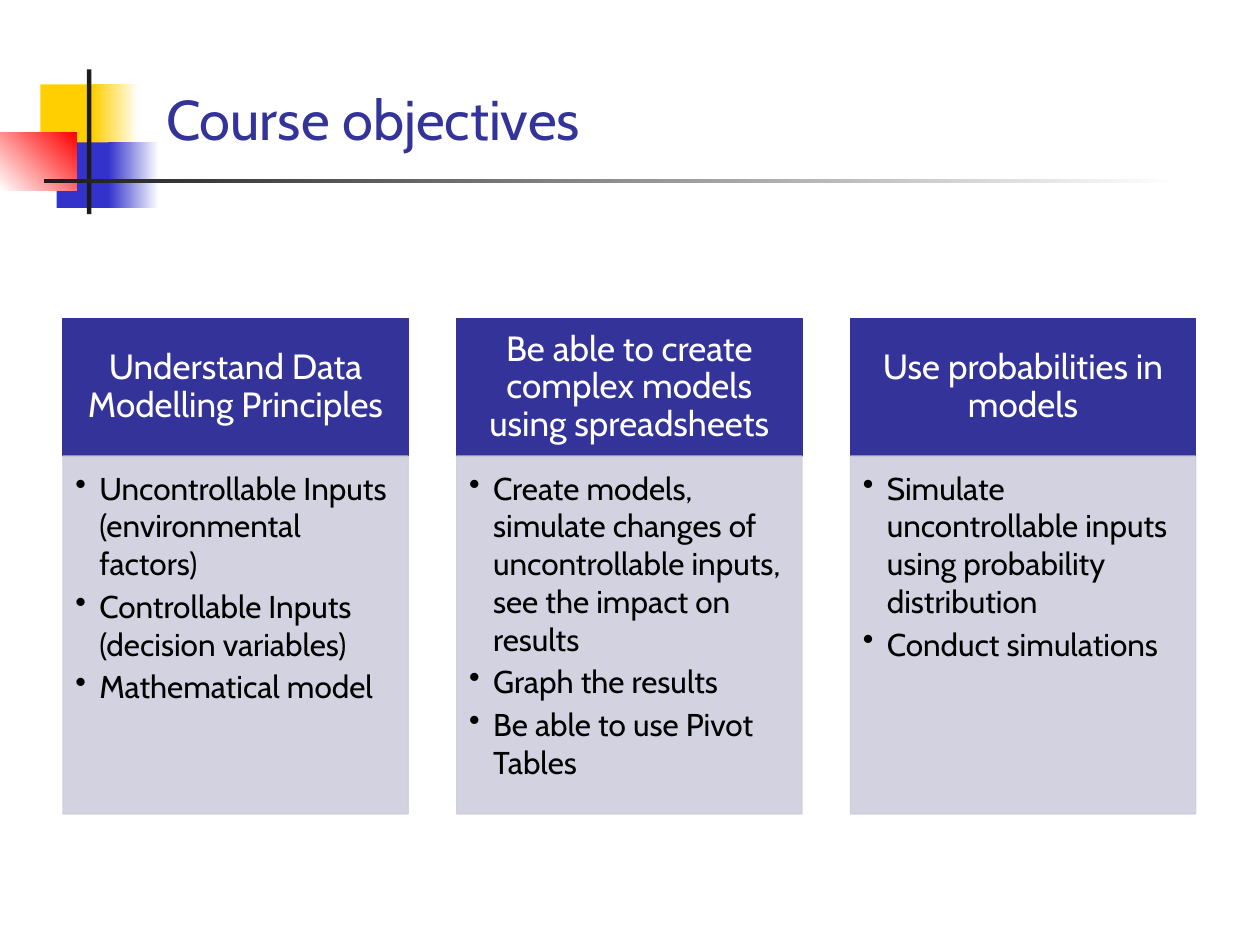
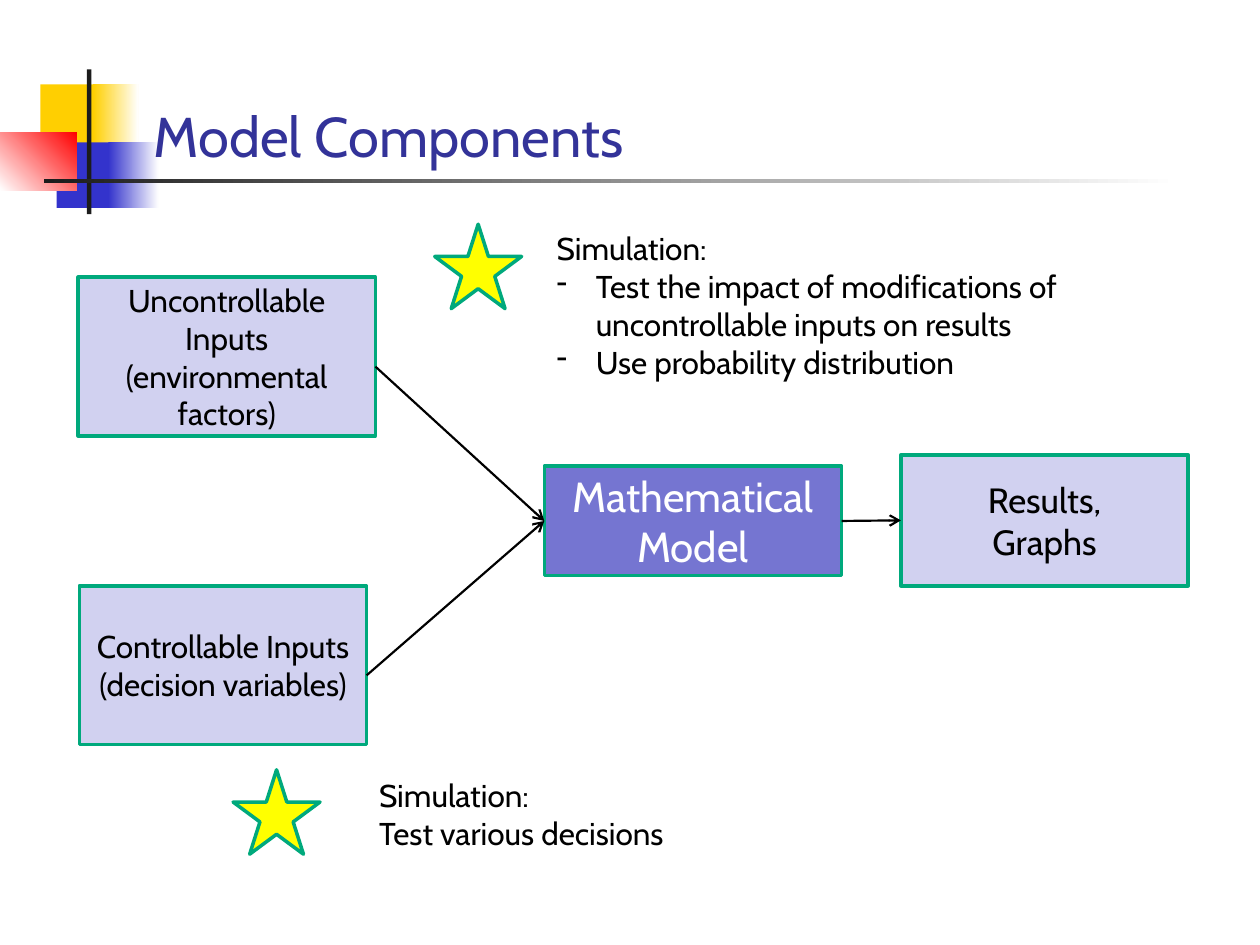
from lxml.etree import SubElement
from pptx import Presentation
from pptx.dml.color import RGBColor as Rgb
from pptx.enum.shapes import MSO_CONNECTOR, MSO_SHAPE as Preset
from pptx.enum.text import MSO_ANCHOR as Anchor, PP_ALIGN as Align
from pptx.oxml.ns import qn
from pptx.util import Inches, Pt

COLOURS = {
    "white": "FFFFFF", "black": "000000", "ink": "1C1C1C", "navy": "333399",
    "yellow": "FFCF01", "blue": "3333CC", "red": "FF0000", "panel": "CECEDE",
    "lilac": "D1D1F0", "violet": "7575D1", "green": "00A97C", "star": "FFFF00",
}
rgb = {name: Rgb.from_string(value) for name, value in COLOURS.items()}
FONT = "Cabin"

deck = Presentation()
deck.slide_width, deck.slide_height = Inches(10), Inches(7.5)
CELL = deck.slide_width / 100


def draw(slide, preset, area, fill, line=None, weight=2):
    shape = slide.shapes.add_shape(preset, *[round(n * CELL) for n in area])
    shape.shadow.inherit = False
    if isinstance(fill, tuple):
        start, end, angle = fill
        shape.fill.gradient()
        shape.fill.gradient_angle = angle
        for stop, colour in zip(shape.fill.gradient_stops, (start, end)):
            stop.color.rgb = rgb[colour]
    else:
        shape.fill.solid()
        shape.fill.fore_color.rgb = rgb[fill]
    if line:
        shape.line.color.rgb = rgb[line]
        shape.line.width = Pt(weight)
    else:
        shape.line.fill.background()
    return shape


def write(shape, lines, size, colour="black", align=Align.LEFT, anchor=Anchor.TOP,
          bullet=None, hang=0, plain=0, frame_format=None, line_format=None):
    frame = shape.text_frame
    for name, value in {"word_wrap": True, "vertical_anchor": anchor, **(frame_format or {})}.items():
        setattr(frame, name, value)
    for index, text in enumerate(lines):
        line = frame.paragraphs[0] if index == 0 else frame.add_paragraph()
        for name, value in {"alignment": align, **(line_format or {})}.items():
            setattr(line, name, value)
        if bullet and index >= plain:
            props = line._p.get_or_add_pPr()
            props.set("marL", str(round(hang * CELL)))
            props.set("indent", str(-round(hang * CELL)))
            SubElement(props, qn("a:buChar"), char=bullet)
        run = line.add_run()
        run.text = text
        for name, value in {"name": FONT, "size": Pt(size)}.items():
            setattr(run.font, name, value)
        run.font.color.rgb = rgb[colour]


ornament = [
    ((3.2, 6.7, 4.8, 5.2), "yellow"),
    ((7.4, 6.7, 3.6, 5.2), ("yellow", "white", 0)),
    ((4.5, 11.3, 4.6, 5.2), "blue"),
    ((8.6, 11.3, 4, 5.2), ("blue", "white", 0)),
    ((0, 10.5, 6.1, 4.6), ("white", "red", 45)),
    ((6.9, 5.5, 0.35, 11.5), "ink"),
    ((3.5, 14.2, 90, 0.35), ("ink", "white", 0)),
]
titles = [
    ("Course objectives", (12.2, 0, 83.7, 12.5)),
    ("Model Components", (11.2, 1.4, 85.2, 12.5)),
]
slides = []
for title, area in titles:
    slide = deck.slides.add_slide(deck.slide_layouts[6])
    for patch, fill in ornament:
        draw(slide, Preset.RECTANGLE, patch, fill)
    heading = slide.shapes.add_textbox(*[round(n * CELL) for n in area])
    write(heading, [title], 32, "navy", anchor=Anchor.BOTTOM)
    slides.append(slide)
objectives, components = slides

goals = [
    ("Understand Data Modelling Principles",
     ["Uncontrollable Inputs (environmental factors)",
      "Controllable Inputs (decision variables)",
      "Mathematical model"]),
    ("Be able to create complex models using spreadsheets",
     ["Create models, simulate changes of uncontrollable inputs, see the impact on results",
      "Graph the results",
      "Be able to use Pivot Tables"]),
    ("Use probabilities in models",
     ["Simulate uncontrollable inputs using probability distribution",
      "Conduct simulations"]),
]
goal_margins = {"margin_left": Inches(0.16), "margin_right": Inches(0.16),
                "margin_top": Inches(0.09), "margin_bottom": Inches(0.09)}
step_margins = {"margin_left": Inches(0.1), "margin_right": Inches(0.14),
                "margin_top": Inches(0.1), "margin_bottom": Inches(0.16)}
for column, (goal, steps) in enumerate(goals):
    left = 5 + column * 31.25
    header = draw(objectives, Preset.RECTANGLE, (left, 25.3, 27.4, 10.9), "navy", "navy", 0.75)
    write(header, [goal], 20, "white", Align.CENTER, Anchor.MIDDLE,
          frame_format=goal_margins, line_format={"line_spacing": 0.9})
    panel = draw(objectives, Preset.RECTANGLE, (left, 36.2, 27.4, 28.4), "panel", "panel", 0.75)
    for tint in panel.element.spPr.findall(".//" + qn("a:srgbClr")):
        SubElement(tint, qn("a:alpha"), val="90000")
    write(panel, steps, 18, bullet="•", hang=1.9,
          frame_format=step_margins, line_format={"space_after": Pt(2.7)})

blocks = {
    "uncontrollable": (["Uncontrollable Inputs (environmental factors)"],
                       (6.2, 22, 23.6, 12.6), "lilac", 18, "black"),
    "controllable": (["Controllable Inputs (decision variables)"],
                     (6.3, 46.5, 22.8, 12.6), "lilac", 18, "black"),
    "results": (["Results,", "Graphs"], (71.5, 36.1, 22.8, 10.4), "lilac", 20, "black"),
    "model": (["Mathematical Model"], (43.2, 37, 23.6, 8.7), "violet", 24, "white"),
}
block = {}
for role, (lines, area, fill, size, colour) in blocks.items():
    block[role] = draw(components, Preset.RECTANGLE, area, fill, "green")
    write(block[role], lines, size, colour, Align.CENTER, Anchor.MIDDLE)

flows = [
    ((66.8, 41.3), "model", "results"),
    ((29.1, 53.6), None, "model"),
    ((29.8, 29.1), None, "model"),
]
for (x, y), source, target in flows:
    start = round(x * CELL), round(y * CELL)
    flow = components.shapes.add_connector(MSO_CONNECTOR.STRAIGHT, *start, *start)
    if source:
        flow.begin_connect(block[source], 3)
    flow.end_connect(block[target], 1)
    flow.line.color.rgb = rgb["black"]
    flow.line.width = Pt(1.25)
    outline = flow.element.spPr
    SubElement(outline.find(qn("a:ln")), qn("a:tailEnd"), type="arrow")
    SubElement(outline, qn("a:effectLst"))

simulations = [
    ((18.5, 61.1), (29.1, 61.1, 26.9, 7.1), ["Simulation:", "Test various decisions"], None),
    ((34.5, 17.8), (43.2, 17.7, 50.1, 13.1),
     ["Simulation:",
      "Test the impact of modifications of uncontrollable inputs on results",
      "Use probability distribution"], "-"),
]
for star, area, lines, bullet in simulations:
    draw(components, Preset.STAR_5_POINT, (*star, 6.9, 6.7), "star", "green")
    note = components.shapes.add_textbox(*[round(n * CELL) for n in area])
    write(note, lines, 18, bullet=bullet, hang=3.1, plain=1)

deck.save("out.pptx")
